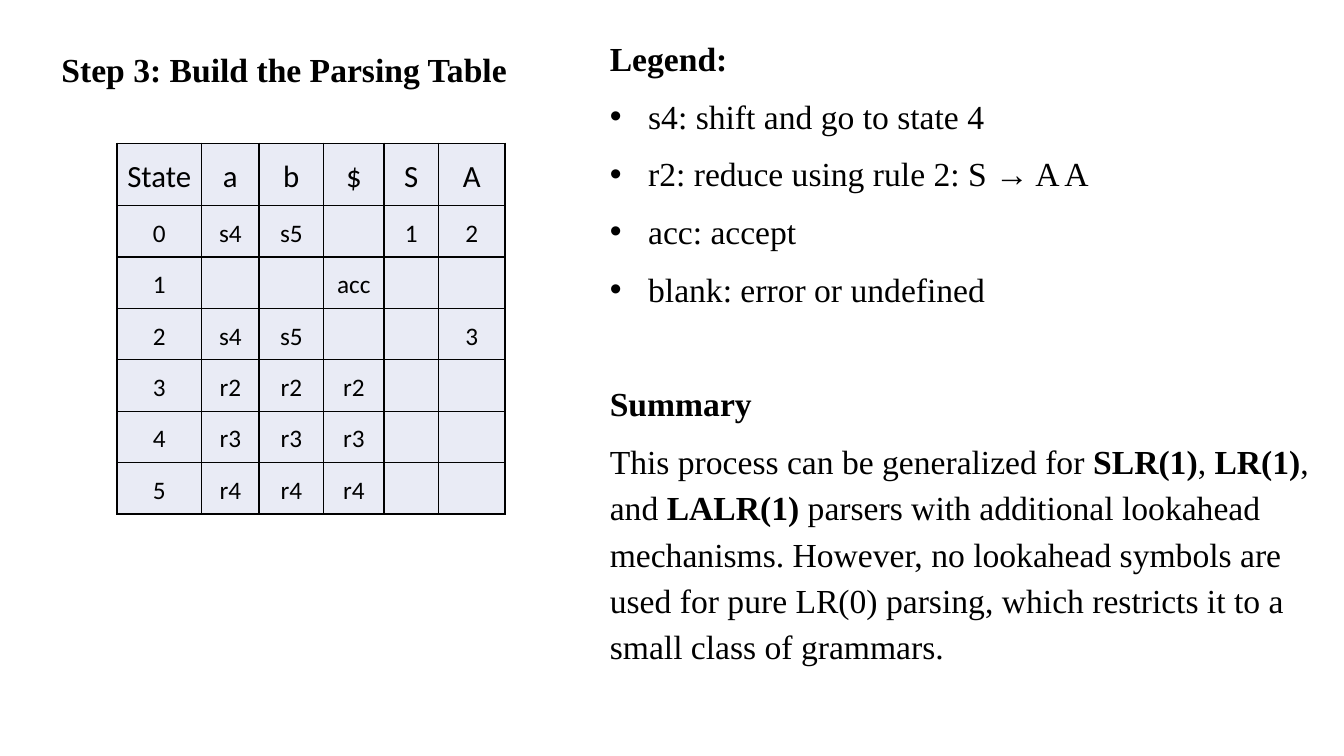
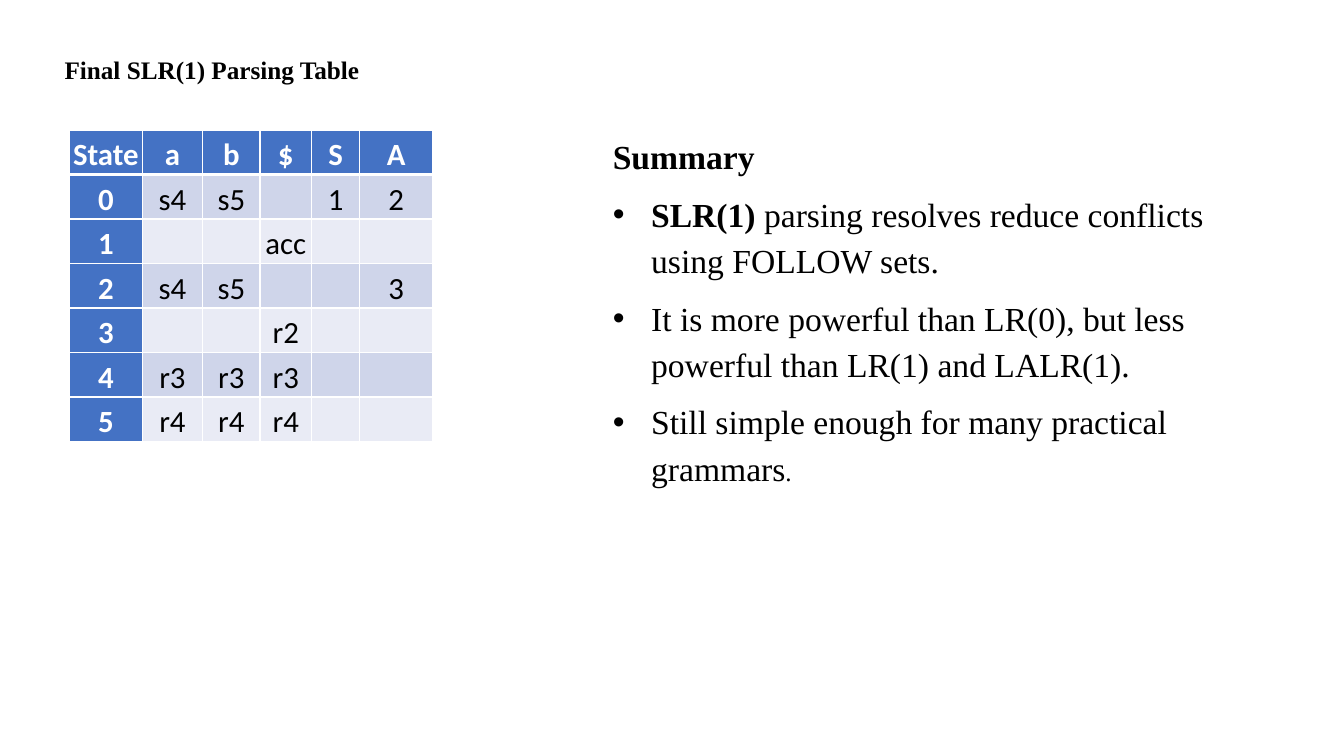
from dataclasses import dataclass

import pptx
import pptx.dml.color
import pptx.enum.text
import pptx.oxml
import pptx.oxml.ns
import pptx.util
from pptx.util import Inches

ALIGN = pptx.enum.text.PP_ALIGN
ANCHOR = pptx.enum.text.MSO_ANCHOR
FIT = pptx.enum.text.MSO_AUTO_SIZE


# Theme: colours, fonts and sizes
@dataclass(frozen=True)
class Theme:
    black: str = "000000"
    white: str = "FFFFFF"
    blue: str = "4472C4"
    band: str = "CFD5EA"
    pale: str = "E9EBF5"
    serif: str = "Times New Roman"
    sans: str = "Calibri"
    large: int = 24
    head: int = 22
    small: int = 18
    line: float = 1.15
    after: int = 8
    indent: float = 0.38
    inset: float = 0.01


THEME = Theme()


# A piece of text, a paragraph and a table look
@dataclass(frozen=True)
class Run:
    text: str
    bold: bool = False
    size: int = THEME.large
    font: str = THEME.serif
    color: str = THEME.black


@dataclass(frozen=True)
class Para:
    runs: tuple
    bullet: bool = False
    before: int = 0


@dataclass(frozen=True)
class Look:
    fills: tuple      # body rows, in turn
    head: str         # fill of the header row
    side: str         # fill of the first column, or "" for none
    ink: str          # header text
    bold: bool
    size: int         # body text
    border: str
    rule: int         # line below the header row


PLAIN = Look((THEME.pale,), THEME.pale, "", THEME.black, False,
             THEME.small, THEME.black, 1)
BANDED = Look((THEME.band, THEME.pale), THEME.blue, THEME.blue, THEME.white,
              True, THEME.head, THEME.white, 3)


def rgb(code):
    return pptx.dml.color.RGBColor.from_string(code)


def xml(tag, attrs, inner=""):
    space = pptx.oxml.ns.nsdecls("a")
    return pptx.oxml.parse_xml(f"<a:{tag} {space} {attrs}>{inner}</a:{tag}>")


# Text
def add_run(par, run):
    item = par.add_run()
    item.text = run.text
    font = item.font
    font.name, font.size, font.bold = run.font, pptx.util.Pt(run.size), run.bold
    font.color.rgb = rgb(run.color)


def space(par, align=ALIGN.LEFT, before=0):
    par.alignment = align
    par.line_spacing = THEME.line
    par.space_before = pptx.util.Pt(before)
    par.space_after = pptx.util.Pt(THEME.after)


def add_bullet(par):
    props = par._p.get_or_add_pPr()
    props.set("marL", str(Inches(THEME.indent)))
    props.set("indent", str(-Inches(THEME.indent)))
    props.append(xml("buFont", 'typeface="Arial"'))
    props.append(xml("buChar", 'char="•"'))


def fill_text(frame, paras):
    frame.word_wrap = True
    frame.auto_size = FIT.SHAPE_TO_FIT_TEXT
    frame.vertical_anchor = ANCHOR.TOP
    for num, para in enumerate(paras):
        par = frame.add_paragraph() if num else frame.paragraphs[0]
        space(par, before=para.before)
        if para.bullet:
            add_bullet(par)
        for run in para.runs:
            add_run(par, run)


def add_text(slide, box, paras):
    shape = slide.shapes.add_textbox(*map(Inches, box))
    fill_text(shape.text_frame, paras)


def add_slide(deck, title, box, size):
    slide = deck.slides.add_slide(deck.slide_layouts[5])
    shape = slide.shapes.title
    shape.left, shape.top, shape.width, shape.height = map(Inches, box)
    fill_text(shape.text_frame, [Para((Run(title, True, size),))])
    return slide


# Table
def set_border(cell, color, widths):
    props = cell._tc.get_or_add_tcPr()
    for side, width in widths.items():
        props.append(xml(
            f"ln{side}", f'w="{pptx.util.Pt(width)}"',
            f'<a:solidFill><a:srgbClr val="{color}"/></a:solidFill>'))


def set_cell(cell, text, row, col, look):
    head = row == 0
    side = col == 0 and look.side
    set_border(cell, look.border, {
        "L": 1, "R": 1,
        "T": look.rule if row == 1 else 1,
        "B": look.rule if head else 1})
    cell.fill.solid()
    body = look.side if side else look.fills[(row - 1) % len(look.fills)]
    cell.fill.fore_color.rgb = rgb(look.head if head else body)
    cell.vertical_anchor = ANCHOR.MIDDLE
    cell.margin_left = cell.margin_right = Inches(THEME.inset)
    cell.margin_top = cell.margin_bottom = Inches(THEME.inset)
    if text:
        par = cell.text_frame.paragraphs[0]
        space(par, ALIGN.CENTER)
        strong = head or side
        add_run(par, Run(text, bool(strong and look.bold),
                         THEME.head if head else look.size, THEME.sans,
                         look.ink if strong else THEME.black))


def add_grid(slide, spot, cols, highs, data, look):
    first, rest = highs
    rows = [first] + [rest] * (len(data) - 1)
    frame = slide.shapes.add_table(
        len(rows), len(cols), *map(Inches, (*spot, sum(cols), sum(rows))))
    table = frame.table
    table.first_row = table.horz_banding = False
    for col, width in zip(table.columns, cols):
        col.width = Inches(width)
    for num, (row, high) in enumerate(zip(table.rows, rows)):
        row.height = Inches(high)
        for col, text in enumerate(data[num]):
            set_cell(table.cell(num, col), text, num, col, look)


# Content
def parse_rows(third):
    return [
        ("State", "a", "b", "$", "S", "A"),
        ("0", "s4", "s5", "", "1", "2"),
        ("1", "", "", "acc", "", ""),
        ("2", "s4", "s5", "", "", "3"),
        ("3", *third, "", ""),
        ("4", "r3", "r3", "r3", "", ""),
        ("5", "r4", "r4", "r4", "", ""),
    ]


def build_step(deck):
    slide = add_slide(deck, "Step 3: Build the Parsing Table",
                      (0.51, 0.38, 6.67, 0.54), THEME.large)
    add_grid(slide, (1.16, 1.42), (0.84, 0.57, 0.64, 0.6, 0.54, 0.66),
             (0.62, 0.51), parse_rows(("r2", "r2", "r2")), PLAIN)
    legend = ("s4: shift and go to state 4", "r2: reduce using rule 2: S → A A",
              "acc: accept", "blank: error or undefined")
    add_text(slide, (5.95, 0.27, 7.38, 6.42), [
        Para((Run("Legend:", True),)),
        *(Para((Run(line),), True) for line in legend),
        Para((Run("Summary", True),), before=41),
        Para((Run("This process can be generalized for "),
              Run("SLR(1)", True), Run(", "), Run("LR(1)", True),
              Run(", and "), Run("LALR(1)", True),
              Run(" parsers with additional lookahead mechanisms. However, "
                  "no lookahead symbols are used for pure LR(0) parsing, "
                  "which restricts it to a small class of grammars."))),
    ])


def build_final(deck):
    slide = add_slide(deck, "Final SLR(1) Parsing Table",
                      (0.54, 0.44, 6.67, 0.43), THEME.small)
    add_grid(slide, (0.69, 1.29), (0.72, 0.6, 0.57, 0.51, 0.48, 0.72),
             (0.44, 0.44), parse_rows(("", "", "r2")), BANDED)
    add_text(slide, (5.98, 1.24, 6.67, 3.65), [
        Para((Run("Summary", True),)),
        Para((Run("SLR(1)", True),
              Run(" parsing resolves reduce conflicts using FOLLOW sets.")),
             True),
        Para((Run("It is more powerful than LR(0), but less powerful than "
                  "LR(1) and LALR(1)."),), True),
        Para((Run("Still simple enough for many practical grammars"),
              Run(".", size=THEME.small)), True),
    ])


def main():
    deck = pptx.Presentation()
    deck.slide_width, deck.slide_height = Inches(13.33), Inches(7.5)
    build_step(deck)
    build_final(deck)
    deck.save("out.pptx")


if __name__ == "__main__":
    main()
